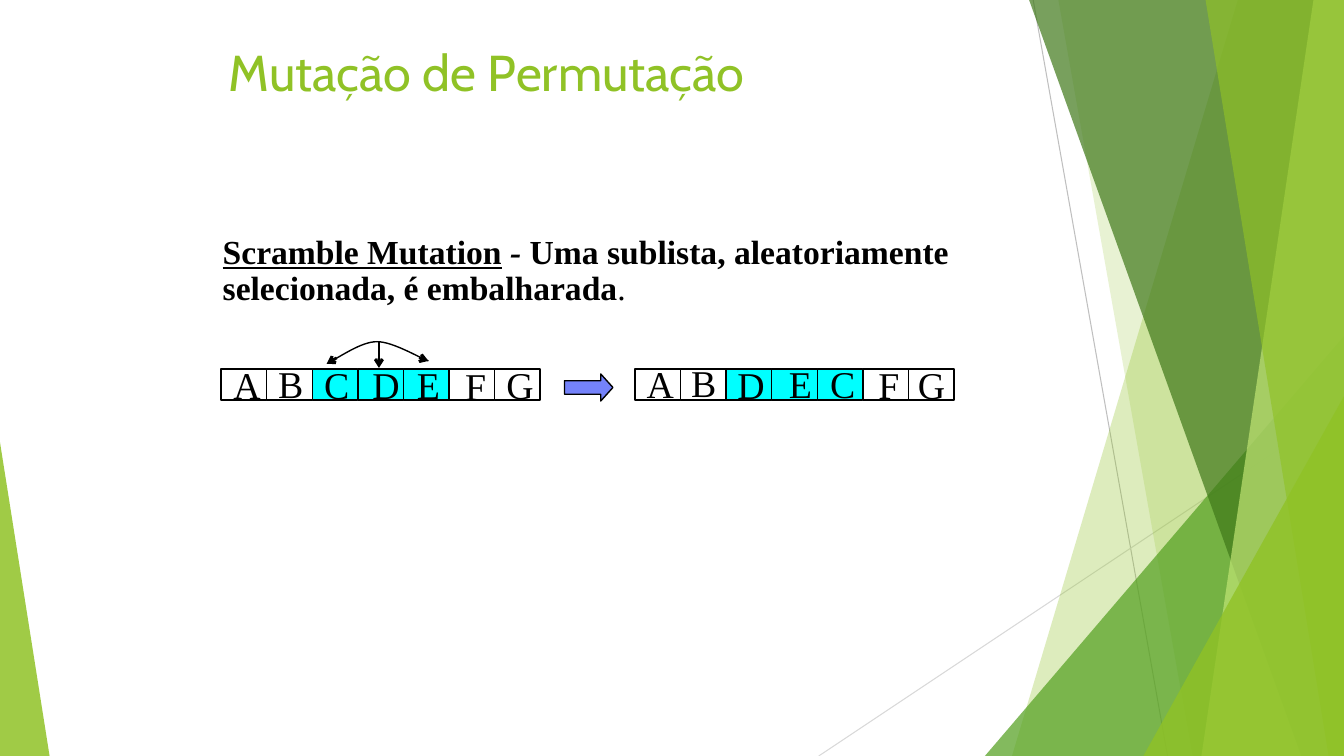
import pptx
import pptx.util
import pptx.dml.color
import pptx.enum.shapes
import pptx.enum.text
import pptx.oxml.ns
import lxml.etree

Pt = pptx.util.Pt
SHAPES = pptx.enum.shapes.MSO_SHAPE
ANCHOR = pptx.enum.text.MSO_ANCHOR
ALIGN = pptx.enum.text.PP_ALIGN
qn = pptx.oxml.ns.qn

COLOURS = {
    "lime": "90C226", "leaf": "54A021", "forest": "3F7819", "pale": "C0E474",
    "grey": "BFBFBF", "light grey": "D9D9D9",
    "black": "000000", "cyan": "00FFFF", "blue": "7482FA",
}
RGB = {name: pptx.dml.color.RGBColor.from_string(code) for name, code in COLOURS.items()}

presentation = pptx.Presentation()
presentation.slide_width = Pt(960)
presentation.slide_height = Pt(540)
slide = presentation.slides.add_slide(presentation.slide_layouts[6])
shapes = slide.shapes


def paint(shape, fill=None, opacity=100, line=None):
    shape.shadow.inherit = False
    if fill:
        shape.fill.solid()
        shape.fill.fore_color.rgb = RGB[fill]
        if opacity < 100:
            colour = shape.fill._xPr.find(".//" + qn("a:srgbClr"))
            lxml.etree.SubElement(colour, qn("a:alpha"), val=str(opacity * 1000))
    else:
        shape.fill.background()
    if line:
        shape.line.color.rgb = RGB[line]
        shape.line.width = Pt(1)
    else:
        shape.line.fill.background()


def add_text(box, runs, margins, paragraph_format, frame_format, colour):
    frame = shapes.add_textbox(*map(Pt, box)).text_frame
    frame.margin_left = frame.margin_right = Pt(margins[0])
    frame.margin_top = frame.margin_bottom = Pt(margins[1])
    frame.word_wrap = True
    for name, value in frame_format.items():
        setattr(frame, name, value)
    paragraph = frame.paragraphs[0]
    for name, value in paragraph_format.items():
        setattr(paragraph, name, value)
    for text, font_format in runs:
        run = paragraph.add_run()
        run.text = text
        run.font.color.rgb = RGB[colour]
        for name, value in font_format.items():
            setattr(run.font, name, value)


# Lines: start, end, colour, width, arrowhead
background_lines = [
    ((738, 0), (834, 540), "grey", 0.75, False),
    ((960, 290), (584.8, 540), "light grey", 0.75, False),
]
swap_arrows = [
    ((240.5, 255.6), (233.3, 259.9), "black", 2, True),
    ((301.7, 256.3), (306, 257.8), "black", 2, True),
    ((270.7, 244.1), (270.7, 262.8), "black", 2, True),
]
# Background facets, from back to front: outline points or triangle box
facets = [
    ([(884.2, 0), (960, 0), (960, 540), (722.9, 540)], "lime", 30),
    ([(756, 0), (960, 0), (960, 540), (851.8, 540)], "lime", 20),
    ((703.5, 240, 256.5, 300, 1), "leaf", 72),
    ([(735.1, 0), (960, 0), (960, 540), (929.5, 540)], "forest", 70),
    ([(938.2, 0), (960, 0), (960, 540), (858.2, 540)], "pale", 70),
    ([(861.1, 0), (960, 0), (960, 540), (949, 540)], "lime", 65),
    ((816.7, 283, 143.3, 257, 1), "lime", 80),
    ((0, 316, 35.4, 224, 0), "lime", 85),
]

# Curve above the genes: two Bezier arcs, sampled
arcs = [
    ((235.4, 258.5), (243.4, 254.9), (257.8, 244.1), (269.3, 244.1)),
    ((269.3, 244.1), (280.8, 244.1), (299.5, 255.6), (306, 257.8)),
]
curve = []
for arc in arcs:
    for step in range(17):
        t = step / 16
        weights = ((1 - t) ** 3, 3 * t * (1 - t) ** 2, 3 * t ** 2 * (1 - t), t ** 3)
        curve.append([Pt(sum(w * p[axis] for w, p in zip(weights, arc))) for axis in (0, 1)])

for group in (background_lines, swap_arrows):
    for start, end, colour, width, arrowhead in group:
        connector = shapes.add_connector(
            pptx.enum.shapes.MSO_CONNECTOR.STRAIGHT, *map(Pt, start + end))
        connector.line.color.rgb = RGB[colour]
        connector.line.width = Pt(width)
        if arrowhead:
            lxml.etree.SubElement(connector.line._get_or_add_ln(), qn("a:tailEnd"), type="arrow")
        lxml.etree.SubElement(connector._element.spPr, qn("a:effectLst"))

for outline, colour, opacity in facets:
    if isinstance(outline, list):
        points = [(Pt(x), Pt(y)) for x, y in outline]
        builder = shapes.build_freeform(*points[0])
        builder.add_line_segments(points[1:], close=True)
        facet = builder.convert_to_shape()
    else:
        facet = shapes.add_shape(SHAPES.ISOSCELES_TRIANGLE, *map(Pt, outline[:4]))
        facet.adjustments[0] = outline[4]
    paint(facet, colour, opacity)

builder = shapes.build_freeform(*curve[0])
builder.add_line_segments(curve[1:], close=False)
paint(builder.convert_to_shape(), line="black")

# Title and definition
add_text((162, 25.9, 617.8, 51.1), [("Mutação de Permutação", {"name": "Cabin", "size": Pt(36)})],
         (1.4, 3.6), {}, {"vertical_anchor": ANCHOR.TOP}, "lime")

serif = {"name": "Times New Roman", "size": Pt(24), "bold": True}
add_text(
    (157.7, 165.6, 570.2, 56.9),
    [
        ("Scramble Mutation", {**serif, "underline": True}),
        (" - ", {**serif, "italic": True}),
        ("Uma sublista, aleatoriamente selecionada, é embalharada", serif),
        (".", {**serif, "bold": False}),
    ],
    (1.4, 3.6), {"line_spacing": 0.89}, {"vertical_anchor": ANCHOR.MIDDLE}, "black")

# Chromosomes before and after: letters with their centre and top
CELL_WIDTH, CELL_HEIGHT, CELL_TOP, LETTER_WIDTH = 32.55, 22.4, 263.5, 26
chromosomes = [
    (158, [("A", 176.4, 262.8), ("B", 207.7, 262.1), ("C", 240.5, 262.8), ("D", 275.8, 262.8),
           ("E", 306, 262.8), ("F", 339.8, 263.5), ("G", 371.5, 262.8)]),
    (453.6, [("A", 471.6, 262.1), ("B", 502.6, 261.4), ("D", 536.4, 262.8), ("E", 571.7, 262.1),
             ("C", 601.9, 262.1), ("F", 635, 262.8), ("G", 665.3, 262.8)]),
]
for left, genes in chromosomes:
    for index, (letter, centre, top) in enumerate(genes):
        cell = shapes.add_shape(SHAPES.RECTANGLE, Pt(left + index * CELL_WIDTH), Pt(CELL_TOP),
                                Pt(CELL_WIDTH), Pt(CELL_HEIGHT))
        paint(cell, "cyan" if letter in "CDE" else None, line="black")
    for letter, centre, top in genes:
        add_text((centre - LETTER_WIDTH / 2, top, LETTER_WIDTH, 28),
                 [(letter, {"name": "Times New Roman", "size": Pt(27)})], (0, 0),
                 {"alignment": ALIGN.CENTER, "line_spacing": 0.89},
                 {"vertical_anchor": ANCHOR.MIDDLE}, "black")

# Arrow between the chromosomes
result_arrow = shapes.add_shape(SHAPES.RIGHT_ARROW, Pt(403.2), Pt(267.1), Pt(34.6), Pt(19.4))
result_arrow.adjustments[0] = 0.5
result_arrow.adjustments[1] = 0.45
paint(result_arrow, "blue", line="black")

presentation.save("out.pptx")
